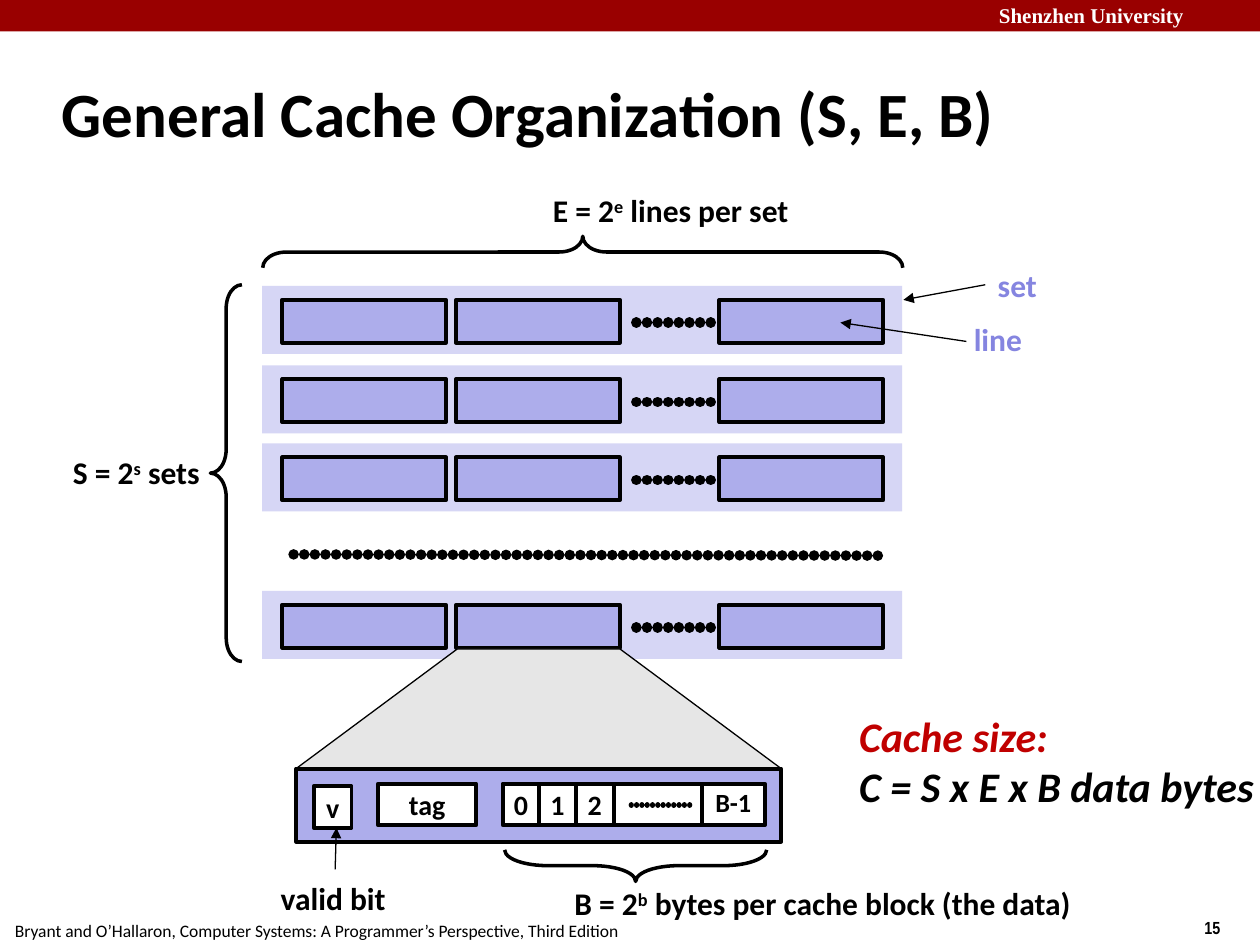
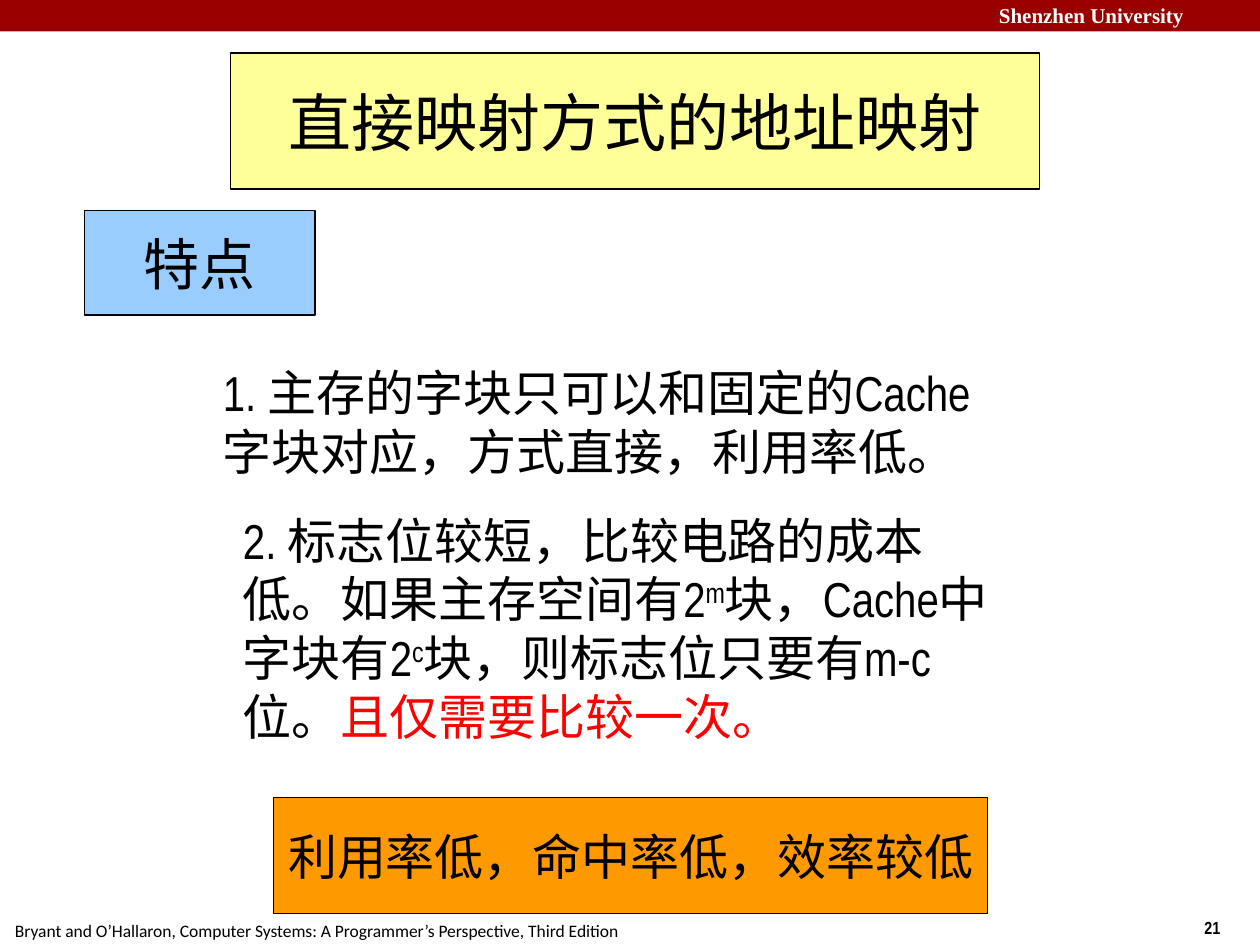
from itertools import accumulate

from lxml import etree
from pptx import Presentation
from pptx.dml.color import RGBColor
from pptx.enum.shapes import MSO_CONNECTOR, MSO_SHAPE
from pptx.enum.text import MSO_ANCHOR, MSO_AUTO_SIZE, PP_ALIGN
from pptx.oxml.ns import qn
from pptx.util import Inches, Pt

RECT, BRACE = MSO_SHAPE.RECTANGLE, MSO_SHAPE.LEFT_BRACE
STRAIGHT = MSO_CONNECTOR.STRAIGHT
MIDDLE, TOP = MSO_ANCHOR.MIDDLE, MSO_ANCHOR.TOP
LEFT, CENTER = PP_ALIGN.LEFT, PP_ALIGN.CENTER
FIT, FIXED = MSO_AUTO_SIZE.SHAPE_TO_FIT_TEXT, MSO_AUTO_SIZE.NONE

BLACK = RGBColor(0x00, 0x00, 0x00)
WHITE = RGBColor(0xFF, 0xFF, 0xFF)
BAND = RGBColor(0x99, 0x00, 0x00)
PALE = RGBColor(0xD6, 0xD6, 0xF5)
LILAC = RGBColor(0xAD, 0xAD, 0xEB)
VIOLET = RGBColor(0x85, 0x85, 0xE0)
GRAY = RGBColor(0xE6, 0xE6, 0xE6)
CRIMSON = RGBColor(0xC0, 0x00, 0x00)
RED = RGBColor(0xFF, 0x00, 0x00)
YELLOW = RGBColor(0xFF, 0xFF, 0x99)
SKY = RGBColor(0x99, 0xCC, 0xFF)
ORANGE = RGBColor(0xFF, 0x99, 0x00)

SANS, NARROW, SERIF = "Calibri", "Arial Narrow", "Times New Roman"

SCHOOL = "Shenzhen University"
SOURCE = "Bryant and O’Hallaron, Computer Systems: A Programmer’s Perspective, Third Edition"

CACHE_TITLE = "General Cache Organization (S, E, B)"
LABELS = [
    ("E = 2^e^ lines per set", (4.29, 1.47, 2.07, 0.4), BLACK),
    ("S = 2^s^ sets", (0.48, 3.55, 1.21, 0.4), BLACK),
    ("set", (7.82, 2.06, 0.51, 0.4), VIOLET),
    ("line", (7.63, 2.49, 0.58, 0.4), VIOLET),
    ("B = 2^b^ bytes per cache block (the data)", (4.46, 6.97, 4.15, 0.4), BLACK),
    ("valid bit", (2.13, 6.93, 1.04, 0.4), BLACK),
]
FORMULA = "Cache size:\nC = S x E x B data bytes"
SET_TOPS = [2.27, 2.9, 3.52, 4.69]
LINE_LEFTS = [2.24, 3.62, 5.71]
BRACES = [
    ((4.5, -0.54, 0.25, 5.08), 90, 0.75),
    ((1.67, 2.26, 0.25, 2.99), 0, 0.75),
    ((4.92, 5.83, 0.25, 2.08), 270, 1.36),
]
FAN = [(2.35, 6.1), (3.63, 5.15), (4.92, 5.15), (6.2, 6.1)]
BYTES = [("0", 0.29), ("1", 0.29), ("2", 0.3), ("", 0.7), ("B-1", 0.5)]
BYTE_LEFT = 3.99
POINTERS = [
    ((7.82, 2.26), (7.17, 2.38)),
    ((7.67, 2.71), (6.67, 2.56)),
    ((2.66, 6.9), (2.67, 6.57)),
]

MAP_TITLE = "直接映射方式的地址映射"
PANELS = [
    ("特点", (0.67, 1.67, 1.83, 0.83), SKY, 32),
    ("利用率低，命中率低，效率较低", (2.17, 6.33, 5.67, 0.92), ORANGE, 28),
]
DIRECT = "1. 主存的字块只可以和固定的Cache字块对应，方式直接，利用率低。"
SHORT = "2. 标志位较短，比较电路的成本低。如果主存空间有2^m^块，Cache中字块有2^c^块，则标志位只要有m-c位。"
ONCE = "且仅需要比较一次。"


def inch(*nums):
    return [Inches(n) for n in nums]


def style(frame, size, font=SANS, color=BLACK, bold=False, align=LEFT):
    for para in frame.paragraphs:
        para.alignment = align
        para._p.get_or_add_pPr().set("hangingPunct", "0")
        for run in para.runs:
            run.font.size, run.font.name = Pt(size), font
            run.font.bold = bold
            run.font.color.rgb = color


def paint(shape, fill, width=0):
    if fill is None:
        shape.fill.background()
    else:
        shape.fill.solid()
        shape.fill.fore_color.rgb = fill
    if width:
        shape.line.color.rgb = BLACK
        shape.line.width = Pt(width)
    else:
        shape.line.fill.background()


def box(shapes, at, fill, width=0, text="", size=16, font=SANS, bold=True):
    shape = shapes.add_shape(RECT, *inch(*at))
    shape.shadow.inherit = False
    paint(shape, fill, width)
    if text:
        frame = shape.text_frame
        frame.text = text
        frame.word_wrap = False
        frame.vertical_anchor = MIDDLE
        style(frame, size, font, bold=bold, align=CENTER)
    return shape


def label(shapes, text, at, size=18, font=SANS, color=BLACK, bold=True, wrap=False):
    frame = shapes.add_textbox(*inch(*at)).text_frame
    frame.word_wrap = wrap
    frame.auto_size = FIT
    frame.vertical_anchor = TOP
    if "^" in text:
        for i, part in enumerate(text.split("^")):
            run = frame.paragraphs[0].add_run()
            run.text = part
            if i % 2:
                run._r.get_or_add_rPr().set("baseline", "30000")
    else:
        frame.text = text
    style(frame, size, font, color, bold)
    return frame


def link(shapes, start, end, width=0.75, arrow=False, dots=False):
    line = shapes.add_connector(STRAIGHT, *inch(*start, *end))
    line.line.color.rgb = BLACK
    line.line.width = Pt(width)
    pen = line.line._get_or_add_ln()
    if dots:
        pen.set("cap", "rnd")
        dash = etree.SubElement(pen, qn("a:custDash"))
        etree.SubElement(dash, qn("a:ds"), d="100000", sp="1000")
    if arrow:
        etree.SubElement(pen, qn("a:tailEnd"), type="triangle")
    etree.SubElement(line._element.spPr, qn("a:effectLst"))


def start_slide(deck, title, at, number):
    slide = deck.slides.add_slide(deck.slide_layouts[5])
    shapes = slide.shapes
    box(shapes, (0, 0, 10, 0.25), BAND)
    label(shapes, SCHOOL, (7.83, -0.03, 2.24, 0.3), 12, SERIF, WHITE, wrap=True)
    label(shapes, number, (9.46, 7.23, 0.75, 0.27), 10, NARROW)
    label(shapes, SOURCE, (0.02, 7.25, 5.01, 0.27), 10, bold=False)
    head = shapes.title
    head.left, head.top, head.width, head.height = inch(*at)
    frame = head.text_frame
    frame.text = title
    frame.auto_size = FIXED
    frame.vertical_anchor = MIDDLE
    return shapes


def draw_set(shapes, top):
    group = shapes.add_group_shape().shapes
    box(group, (2.08, top, 5.08, 0.54), PALE)
    mid = top + 0.29
    link(group, (5.05, mid), (5.72, mid), 6, dots=True)
    for left in LINE_LEFTS:
        box(group, (left, top + 0.11, 1.3, 0.34), LILAC, 2.25)


def draw_block(shapes):
    points = [inch(*point) for point in FAN]
    path = shapes.build_freeform(*points[0])
    path.add_line_segments(points[1:], close=True)
    fan = path.convert_to_shape()
    fan.shadow.inherit = False
    paint(fan, GRAY, 0.75)
    box(shapes, (2.35, 6.1, 3.85, 0.58), LILAC, 2.25)
    lefts = accumulate([width for _, width in BYTES], initial=BYTE_LEFT)
    for (text, width), left in zip(BYTES, lefts):
        size = 15 if len(text) > 1 else 16
        cell = box(shapes, (left, 6.22, width, 0.33), WHITE, 2.25, text, size)
        if size == 15:
            cell.text_frame.paragraphs[0].line_spacing = 0.9
    link(shapes, (5.01, 6.39), (5.51, 6.39), 3, dots=True)
    box(shapes, (3, 6.22, 0.78, 0.33), WHITE, 2.25, "tag")
    box(shapes, (2.49, 6.24, 0.3, 0.33), WHITE, 2.25, "v")


def cache_slide(deck):
    shapes = start_slide(deck, CACHE_TITLE, (0.39, 0.48, 8.3, 0.83), "15")
    style(shapes.title.text_frame, 36, bold=True)
    for top in SET_TOPS:
        draw_set(shapes, top)
    link(shapes, (2.33, 4.4), (7, 4.41), 6, dots=True)
    for at, turn, curl in BRACES:
        brace = shapes.add_shape(BRACE, *inch(*at))
        brace.shadow.inherit = False
        paint(brace, None, 2)
        brace.rotation = turn
        brace.adjustments[0] = curl
    draw_block(shapes)
    for start, end in POINTERS:
        link(shapes, start, end, arrow=True)
    for text, at, color in LABELS:
        label(shapes, text, at, color=color)
    frame = label(shapes, FORMULA, (6.72, 5.59, 3.34, 0.9), 24)
    for para, color in zip(frame.paragraphs, (CRIMSON, BLACK)):
        para.runs[0].font.italic = True
        para.runs[0].font.color.rgb = color


def map_slide(deck):
    shapes = start_slide(deck, MAP_TITLE, (1.83, 0.42, 6.42, 1.08), "21")
    paint(shapes.title, YELLOW, 0.75)
    style(shapes.title.text_frame, 36, NARROW, align=CENTER)
    for text, at, fill, size in PANELS:
        box(shapes, at, fill, 0.75, text, size, NARROW, False)
    label(shapes, DIRECT, (1.67, 2.83, 6.33, 1.04), 28, NARROW, bold=False, wrap=True)
    frame = label(shapes, SHORT, (1.83, 4, 6.25, 1.97), 28, NARROW, bold=False, wrap=True)
    frame.paragraphs[0].add_run().text = ONCE
    style(frame, 28, NARROW)
    frame.paragraphs[0].runs[-1].font.color.rgb = RED


def main():
    """Build the two cache slides."""
    deck = Presentation()
    deck.slide_width, deck.slide_height = inch(10, 7.5)
    cache_slide(deck)
    map_slide(deck)
    deck.save("out.pptx")


if __name__ == "__main__":
    main()
